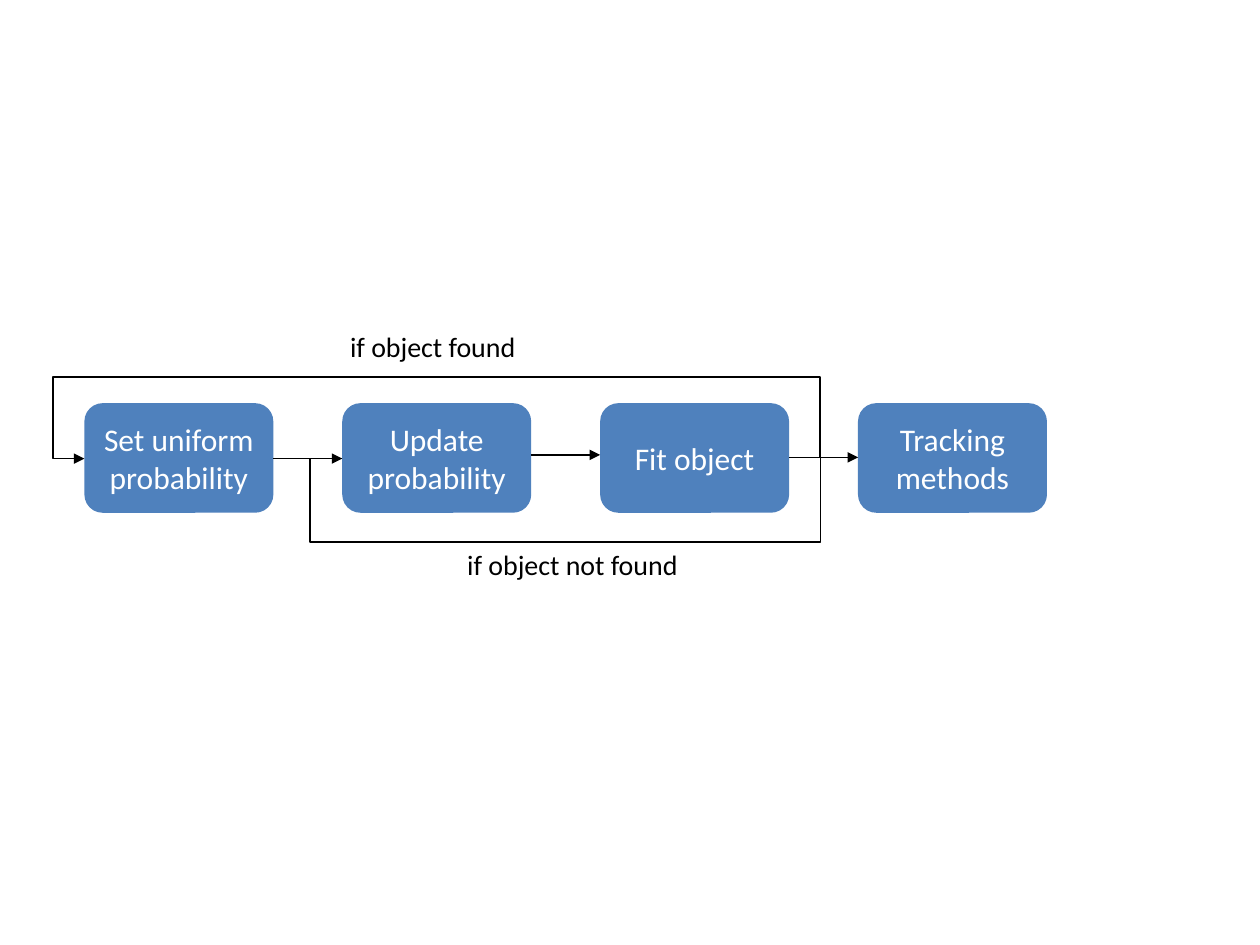
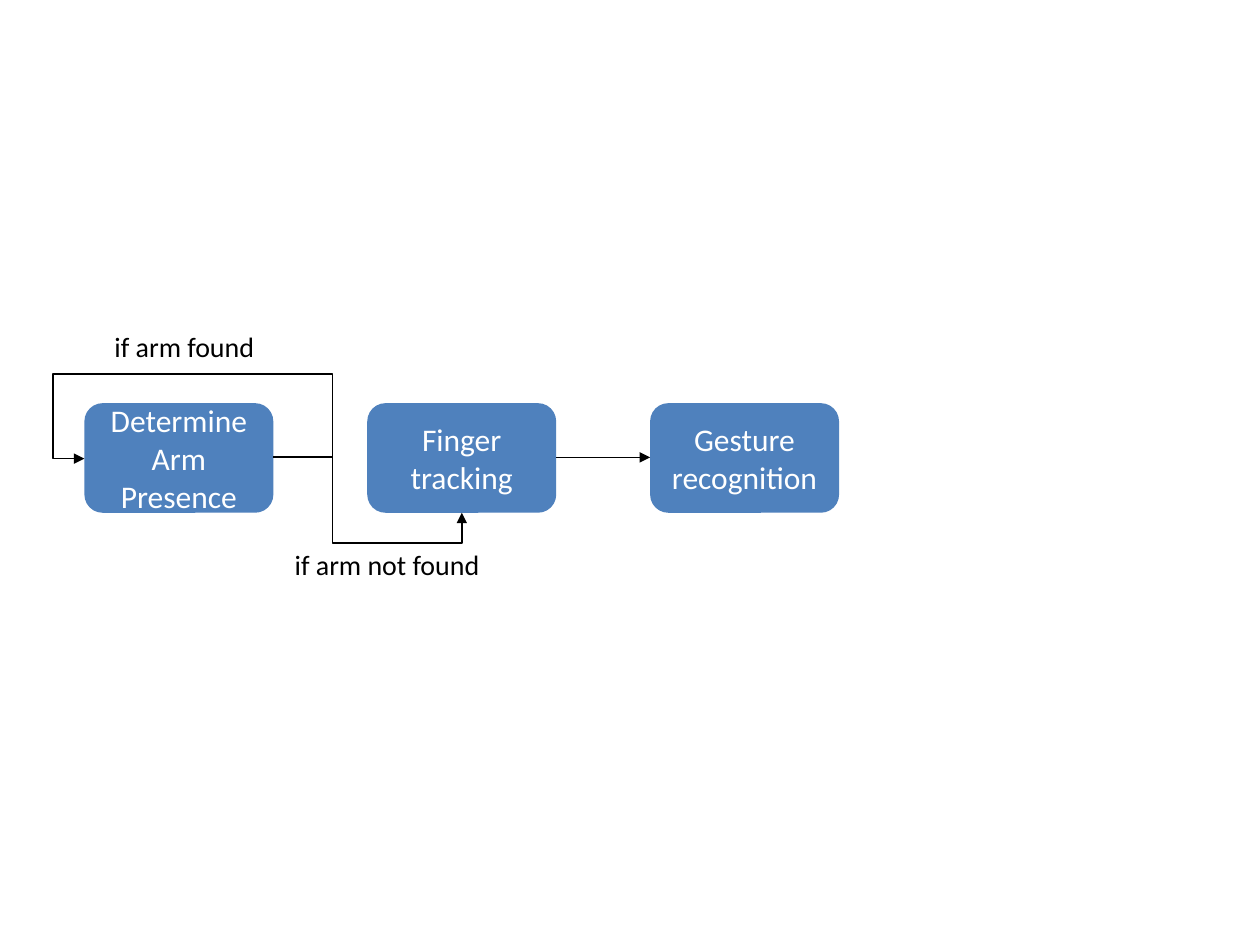
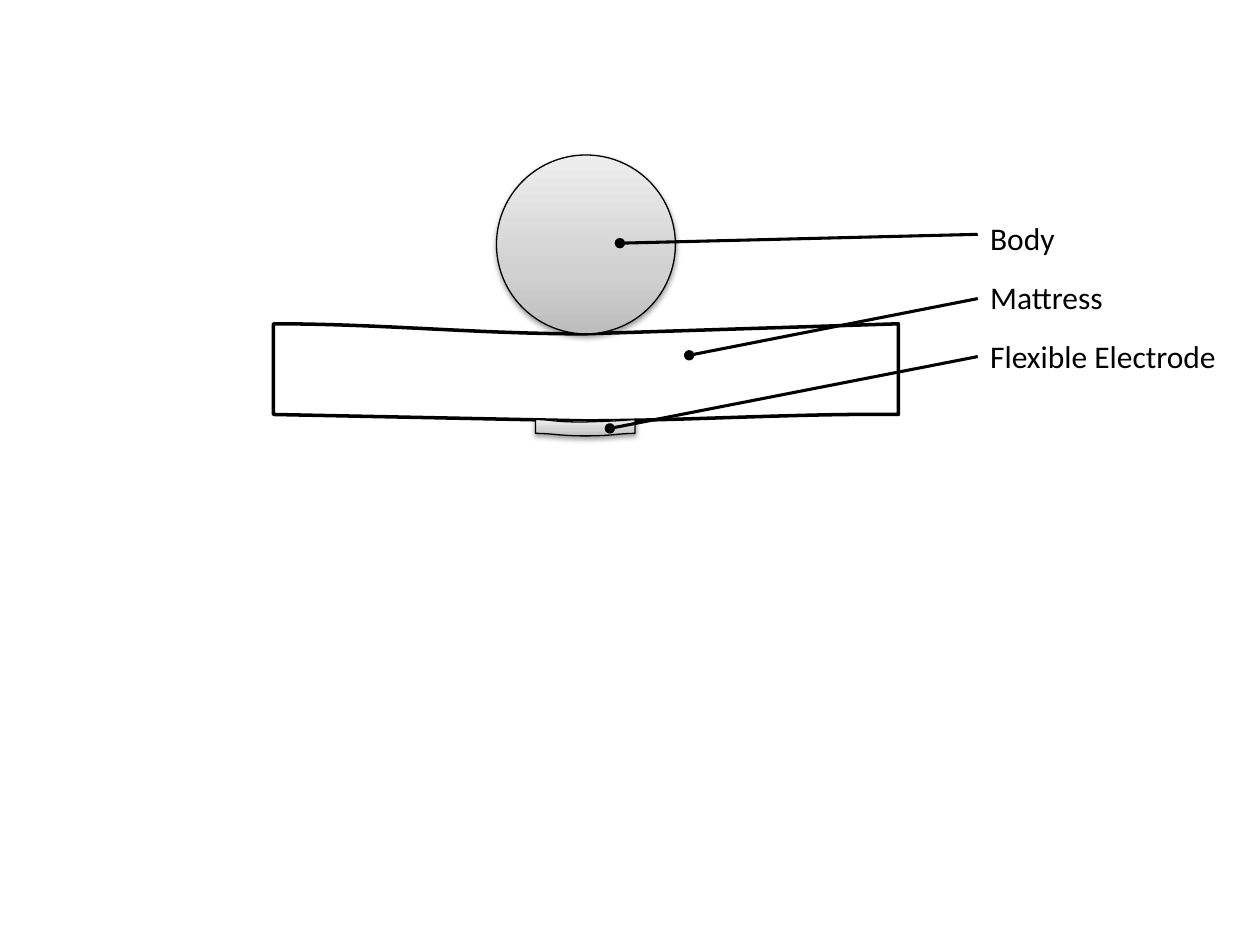
from copy import deepcopy

from lxml.etree import SubElement
from pptx import Presentation
from pptx.dml.color import RGBColor
from pptx.enum.shapes import MSO_CONNECTOR as Connector, MSO_SHAPE as Preset
from pptx.enum.text import MSO_ANCHOR as Anchor, MSO_AUTO_SIZE as AutoSize, PP_ALIGN as Align
from pptx.oxml.ns import qn
from pptx.util import Inches, Pt

FONT = "Calibri"
BLACK, WHITE, BLUE = "000000", "FFFFFF", "4F81BD"
GREY_STOPS = [(0, "BDBDBD"), (0.35, "D1D1D1"), (1, "EEEEEE")]
STEP_LEFT, STEP_TOP, STEP_WIDTH, STEP_HEIGHT = 0.67, 3.2, 1.5, 0.87
FLOW_Y, RETURN_Y = 3.63, 3.64
LOOP_END = (STEP_LEFT, RETURN_Y)


def color(hex_text):
    return RGBColor.from_string(hex_text)


def write(text_frame, text, size=18, ink=BLACK, align=Align.LEFT, space_after=None):
    """Fill the frame with one paragraph for each line of text."""
    for index, line in enumerate(text.split("\n")):
        paragraph = text_frame.paragraphs[0] if index == 0 else text_frame.add_paragraph()
        paragraph.alignment = align
        if space_after is not None:
            paragraph.space_after = Pt(space_after)
        run = paragraph.add_run()
        run.text = line
        run.font.name = FONT
        run.font.size = Pt(size)
        run.font.color.rgb = color(ink)


class Deck:
    """Holds the presentation, its style and the current slide."""

    def __init__(self):
        self.presentation = Presentation()
        self.presentation.slide_width = Inches(10)
        self.presentation.slide_height = Inches(7.5)
        self.slide = None

    def new_slide(self):
        self.slide = self.presentation.slides.add_slide(self.presentation.slide_layouts[6])

    def shape(self, preset, left, top, width, height):
        shape = self.slide.shapes.add_shape(
            preset, Inches(left), Inches(top), Inches(width), Inches(height))
        shape.shadow.inherit = False
        return shape

    def steps(self, labels, last_left):
        """Draw evenly spaced process boxes and return their left edges."""
        pitch = (last_left - STEP_LEFT) / (len(labels) - 1)
        lefts = [STEP_LEFT + index * pitch for index in range(len(labels))]
        for left, label in zip(lefts, labels):
            box = self.shape(Preset.FLOWCHART_ALTERNATE_PROCESS,
                             left, STEP_TOP, STEP_WIDTH, STEP_HEIGHT)
            box.fill.solid()
            box.fill.fore_color.rgb = color(BLUE)
            box.line.fill.background()
            box.text_frame.vertical_anchor = Anchor.MIDDLE
            write(box.text_frame, label, ink=WHITE, align=Align.CENTER)
        return lefts

    def label(self, text, left, top, width, height, **text_format):
        box = self.slide.shapes.add_textbox(
            Inches(left), Inches(top), Inches(width), Inches(height))
        box.text_frame.word_wrap = False
        box.text_frame.auto_size = AutoSize.SHAPE_TO_FIT_TEXT
        write(box.text_frame, text, **text_format)

    def line(self, start, end, weight=1, head=None, tail=None, kind=Connector.STRAIGHT):
        connector = self.slide.shapes.add_connector(
            kind, *(Inches(value) for value in (*start, *end)))
        connector.line.color.rgb = color(BLACK)
        connector.line.width = Pt(weight)
        properties = connector._element.spPr
        for tag, ending in (("a:headEnd", head), ("a:tailEnd", tail)):
            if ending:
                SubElement(properties.find(qn("a:ln")), qn(tag), type=ending)
        SubElement(properties, qn("a:effectLst"))
        return connector

    def arrow(self, start, end):
        self.line(start, end, tail="triangle")

    def bent_arrow(self, start, end, turn_x, turn_y, return_x=None):
        """Route an arrow through turn_x, turn_y and, if given, return_x."""
        connector = self.line(start, end, tail="triangle", kind=Connector.ELBOW)
        width, height = end[0] - start[0], end[1] - start[1]
        ratios = [(turn_x - start[0]) / width, (turn_y - start[1]) / height]
        if return_x is not None:
            ratios.append((return_x - start[0]) / width)
        geometry = connector._element.spPr.find(qn("a:prstGeom"))
        geometry.set("prst", f"bentConnector{len(ratios) + 2}")
        guides = geometry.find(qn("a:avLst"))
        for number, ratio in enumerate(ratios, 1):
            SubElement(guides, qn("a:gd"), name=f"adj{number}", fmla=f"val {round(ratio * 100000)}")

    def outline(self, start, *segments):
        """Close a shape of segments: one point is a line, three are a cubic curve."""
        builder = self.slide.shapes.build_freeform(*map(Inches, start))
        builder.add_line_segments(
            [(Inches(x), Inches(y)) for segment in segments for x, y in segment], close=True)
        shape = builder.convert_to_shape()
        shape.shadow.inherit = False
        lines = shape._element.spPr.iter(qn("a:lnTo"))
        remaining = iter(list(lines))
        for segment in segments:
            first, *others = [next(remaining) for _ in segment]
            if others:
                first.tag = qn("a:cubicBezTo")
                for other in others:
                    first.append(other[0])
                    other.getparent().remove(other)
        return shape

    def stroke(self, shape, weight):
        shape.line.color.rgb = color(BLACK)
        shape.line.width = Pt(weight)

    def shade(self, shape):
        """Give the shape a thin outline, a grey gradient and a soft shadow."""
        self.stroke(shape, 0.75)
        shape.fill.gradient()
        properties = shape._element.spPr
        stop_list = properties.find(qn("a:gradFill")).find(qn("a:gsLst"))
        stop_list.append(deepcopy(stop_list[-1]))
        for stop, (position, grey) in zip(shape.fill.gradient_stops, GREY_STOPS):
            stop.position = position
            stop.color.rgb = color(grey)
        shape.fill.gradient_angle = 90
        shadow = SubElement(properties.find(qn("a:effectLst")), qn("a:outerShdw"),
                            blurRad=str(Pt(3.1)), dist=str(Pt(1.6)), dir="5400000", rotWithShape="0")
        shadow_color = SubElement(shadow, qn("a:srgbClr"), val=BLACK)
        SubElement(shadow_color, qn("a:alpha"), val="38000")


def object_tracking(deck):
    deck.new_slide()
    _, update, fit, tracking = deck.steps(
        ["Set uniform probability", "Update probability", "Fit object", "Tracking methods"], 6.81)
    fit_exit = (fit + STEP_WIDTH, FLOW_Y)
    deck.bent_arrow(fit_exit, LOOP_END, 6.51, 2.98, 0.42)
    deck.bent_arrow(fit_exit, (update, RETURN_Y), 6.51, 4.31, 2.46)
    deck.line((STEP_LEFT + STEP_WIDTH, RETURN_Y), (update, RETURN_Y))
    deck.arrow((update + STEP_WIDTH, 3.61), (fit, 3.61))
    deck.arrow(fit_exit, (tracking, FLOW_Y))
    deck.label("if object found", 2.68, 2.57, 1.53, 0.37, size=16)
    deck.label("if object not found", 3.61, 4.3, 1.89, 0.37, size=16)


def gesture_recognition(deck):
    deck.new_slide()
    arm, finger, gesture = deck.steps(
        ["Determine Arm Presence", "Finger tracking", "Gesture recognition"], 5.16)
    arm_exit = (arm + STEP_WIDTH, FLOW_Y)
    deck.label("if arm found", 0.81, 2.57, 1.32, 0.37, size=16)
    deck.label("if arm not found", 2.24, 4.3, 1.69, 0.37, size=16)
    deck.bent_arrow(arm_exit, LOOP_END, 2.64, 2.96, 0.42)
    deck.bent_arrow(arm_exit, (finger + STEP_WIDTH / 2, STEP_TOP + STEP_HEIGHT), 2.64, 4.31)
    deck.arrow((finger + STEP_WIDTH, FLOW_Y), (gesture, FLOW_Y))


def mattress_sensor(deck):
    deck.new_slide()
    mattress = deck.outline(
        (2.17, 2.57),
        [(3.03, 2.57), (3.78, 2.65), (4.64, 2.65)],
        [(7.13, 2.57)],
        [(7.13, 3.29)],
        [(6.35, 3.28), (5.41, 3.34), (4.64, 3.34)],
        [(2.17, 3.29)])
    mattress.fill.solid()
    mattress.fill.fore_color.rgb = color(WHITE)
    deck.stroke(mattress, 2)

    body = deck.shape(Preset.OVAL, 3.94, 1.23, 1.42, 1.42)
    electrode = deck.outline(
        (4.25, 3.33),
        [(4.38, 3.33), (4.37, 3.35), (4.63, 3.35)],
        [(4.95, 3.34), (4.9, 3.34), (5.04, 3.33)],
        [(5.04, 3.44)],
        [(4.91, 3.44), (4.86, 3.46), (4.65, 3.46)],
        [(4.43, 3.46), (4.39, 3.44), (4.25, 3.44)])
    for part in (body, electrode):
        deck.shade(part)

    label_left = 7.76
    deck.label("Body\nMattress\nFlexible Electrode", label_left, 1.69, 2.01, 1.35, space_after=12)
    for target, label_y in (((4.92, 1.93), 1.86), ((5.47, 2.82), 2.37), ((4.84, 3.4), 2.83)):
        deck.line(target, (label_left, label_y), weight=1.75, head="oval")


def main():
    deck = Deck()
    object_tracking(deck)
    gesture_recognition(deck)
    mattress_sensor(deck)
    deck.presentation.save("out.pptx")


if __name__ == "__main__":
    main()
